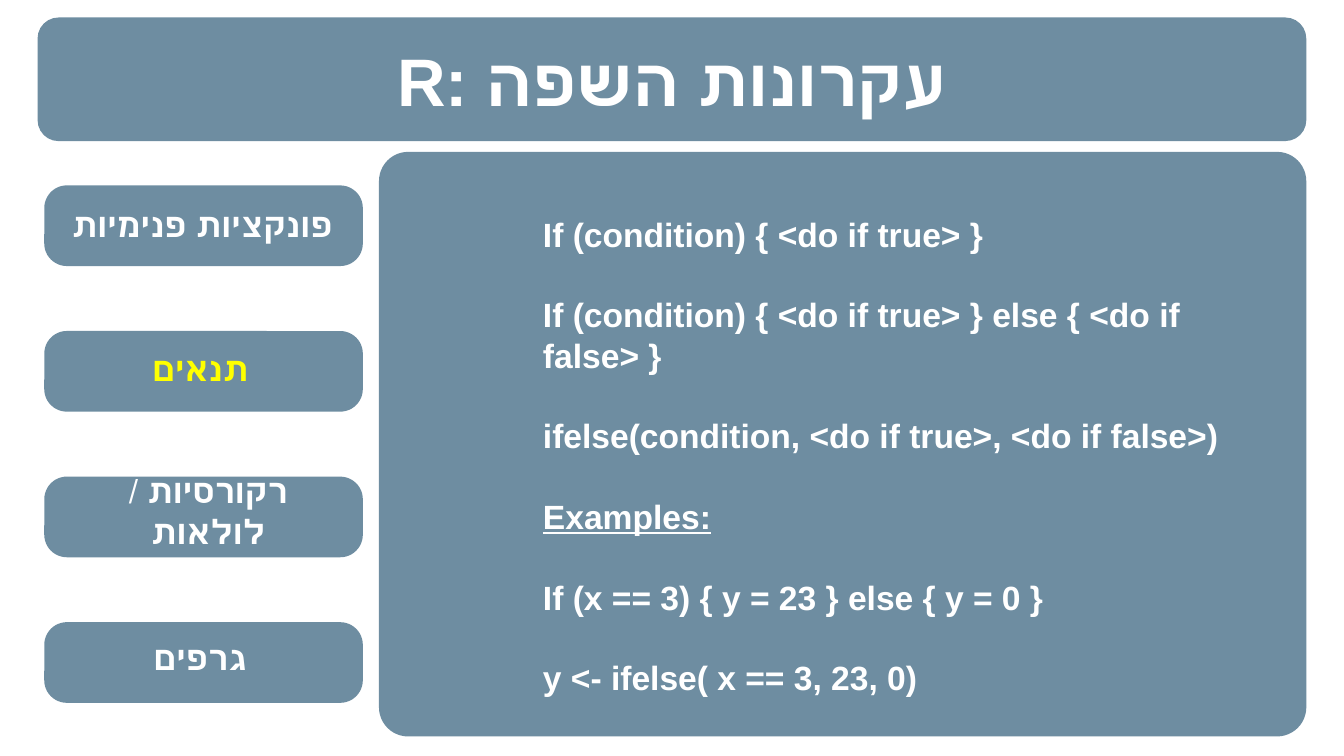
from lxml import etree
from pptx import Presentation
from pptx.dml.color import RGBColor
from pptx.enum.shapes import MSO_SHAPE
from pptx.enum.text import MSO_ANCHOR, PP_ALIGN
from pptx.oxml.ns import qn
from pptx.util import Inches, Pt

ROUND = MSO_SHAPE.ROUNDED_RECTANGLE
SLANT = MSO_SHAPE.PARALLELOGRAM
MIDDLE, TOP = MSO_ANCHOR.MIDDLE, MSO_ANCHOR.TOP
CENTER, LEFT = PP_ALIGN.CENTER, PP_ALIGN.LEFT

BLUE = RGBColor(0x21, 0x51, 0x70)
WHITE = RGBColor(0xFF, 0xFF, 0xFF)
YELLOW = RGBColor(0xFF, 0xFF, 0x00)
FONT = "Arial"
LINE = Pt(21.6)

# Menu labels: text, box, slant, colour
MENU = [
    ("פונקציות פנימיות", (0.06, 1.34, 2.89, 0.65), 0, WHITE),
    ("תנאים", (0.3, 2.35, 2.38, 0.78), 0.03, YELLOW),
    ("רקורסיות / לולאות", (0.22, 3.41, 2.66, 0.78), 0, WHITE),
    ("גרפים", (0.3, 4.59, 2.38, 0.6), 0, WHITE),
]
HEAD = "Examples:"
CODE = [
    "If (condition) { <do if true> }",
    "If (condition) { <do if true> } else { <do if false> }",
    "ifelse(condition, <do if true>, <do if false>)",
    HEAD,
    "If (x == 3) { y = 23 } else { y = 0 }",
    "y <- ifelse( x == 3, 23, 0)",
]


def add_form(slide, kind, box, adjust):
    shape = slide.shapes.add_shape(kind, *map(Inches, box))
    shape.adjustments[0] = adjust
    shape.shadow.inherit = False
    shape.line.fill.background()
    return shape


def add_panel(slide, box, adjust):
    """Rounded panel with a see-through fill."""
    shape = add_form(slide, ROUND, box, adjust)
    shape.fill.solid()
    shape.fill.fore_color.rgb = BLUE
    color = shape.fill._xPr.find(".//" + qn("a:srgbClr"))
    etree.SubElement(color, qn("a:alpha"), val="65000")


def set_frame(frame, inset, anchor):
    frame.word_wrap = True
    frame.vertical_anchor = anchor
    for side in ("left", "top", "right", "bottom"):
        setattr(frame, "margin_" + side, Inches(inset))


def add_line(para, text, align, **style):
    """Fill one paragraph with a bold run."""
    para.alignment = align
    run = para.add_run()
    run.text = text
    font = run.font
    font.color.rgb = style.pop("color", WHITE)
    for key, value in {"name": FONT, "bold": True, "size": Pt(18), **style}.items():
        setattr(font, key, value)


def add_box(slide, box, anchor):
    frame = slide.shapes.add_textbox(*map(Inches, box)).text_frame
    set_frame(frame, 0, anchor)
    return frame


def add_label(slide, text, box, adjust, color):
    """Right-to-left menu label."""
    shape = add_form(slide, SLANT, box, adjust)
    shape.fill.background()
    set_frame(shape.text_frame, 0.14, MIDDLE)
    para = shape.text_frame.paragraphs[0]
    add_line(para, text, CENTER, color=color)
    para.line_spacing = LINE
    para._p.get_or_add_pPr().set("rtl", "1")


def add_code(slide):
    frame = add_box(slide, (3.54, 1.59, 5.71, 3.69), TOP)
    for i, text in enumerate(CODE):
        para = frame.add_paragraph() if i else frame.paragraphs[0]
        add_line(para, text, LEFT, underline=text == HEAD)
        para.line_spacing = LINE
        if i:
            para.space_before = LINE
        para._p.get_or_add_pPr().set("marL", str(Inches(0.5)))


def main():
    deck = Presentation()
    deck.slide_width = Inches(10)
    deck.slide_height = Inches(10) * 9 // 16
    slide = deck.slides.add_slide(deck.slide_layouts[6])

    # Panels
    add_panel(slide, (0.28, 0.13, 9.44, 0.92), 0.17)
    add_panel(slide, (2.82, 1.13, 6.9, 4.35), 0.05)
    for i in range(len(MENU)):
        add_panel(slide, (0.33, 1.38 + i * 3.25 / 3, 2.37, 0.6), 0.28)

    # Title
    title = add_box(slide, (0.33, 0.29, 9.34, 0.6), MIDDLE)
    add_line(title.paragraphs[0], "R: עקרונות השפה", CENTER, size=Pt(36))

    # Menu and code
    for item in MENU:
        add_label(slide, *item)
    add_code(slide)

    deck.save("out.pptx")


if __name__ == "__main__":
    main()
